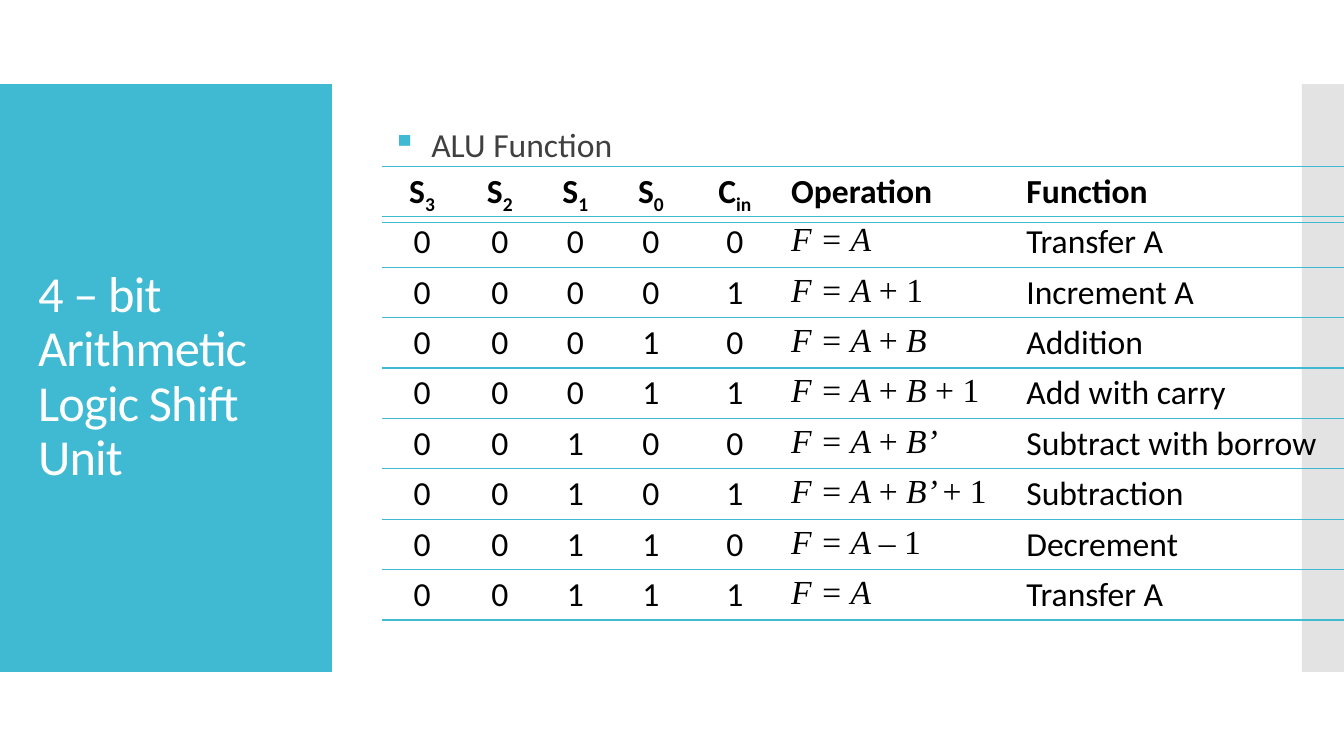
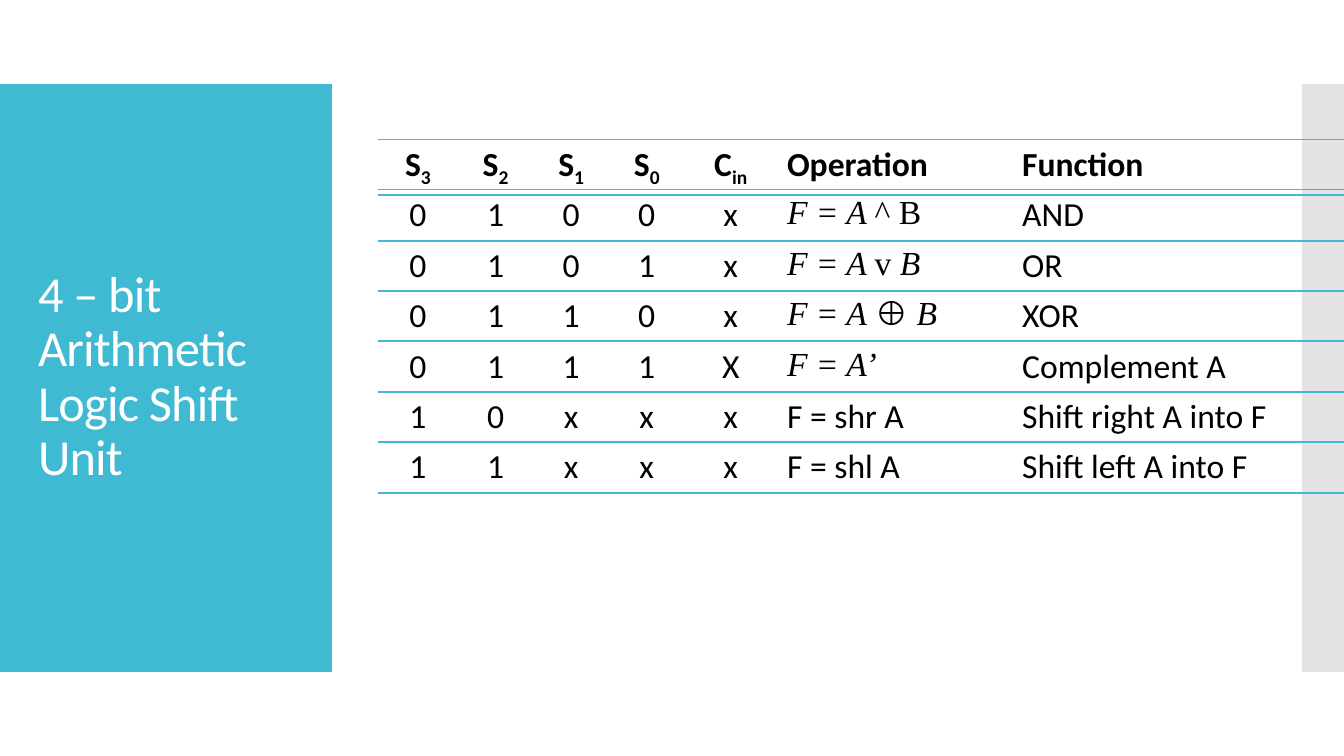
from typing import NamedTuple

from lxml import etree
from pptx import Presentation
from pptx.dml.color import RGBColor
from pptx.enum import shapes, text
from pptx.oxml import ns
from pptx.util import Pt

ACCENT = RGBColor(0x40, 0xBA, 0xD2)
SIDE_GREY = RGBColor(0xC8, 0xC8, 0xC8)
BODY_GREY = RGBColor(0x40, 0x40, 0x40)
BLACK = RGBColor(0, 0, 0)
WHITE = RGBColor(0xFF, 0xFF, 0xFF)

BODY_FONT = "Calibri"
MATH_FONT = "Times New Roman"
TEXT_SIZE = 24

SLIDE_SIZE = (960, 540)
TITLE = "4 – bit Arithmetic Logic Shift Unit"
TITLE_BOX = (20, 88.5, 197.5, 362.5)
HEADING_BOX = (273, 78, 690, 48)
HEADING_INDENT = 28
COLUMN_WIDTHS = (57, 54, 54, 54, 66, 168, 237)
SELECT_COLUMNS = 5
ROW_PITCH = 36
HEADERS = ("S_3", "S_2", "S_1", "S_0", "C_in", "Operation", "Function")


class Band(NamedTuple):
    left: float
    width: float
    color: RGBColor
    opacity: int
    top: float = 60
    height: float = 420


class Piece(NamedTuple):
    text: str
    font: str = BODY_FONT
    bold: bool = False
    italic: bool = False
    baseline: int = 0


class Operation(NamedTuple):
    """One function of the unit; in a formula, | switches between italic and upright."""
    inputs: str
    formula: str
    function: str
    is_math: bool = True


class FunctionSlide(NamedTuple):
    left: float
    top: float
    operations: tuple[Operation, ...]
    heading: str = ""


BANDS = (Band(0, 237, ACCENT, 100), Band(930, 30, SIDE_GREY, 50))

SLIDES = (
    FunctionSlide(273, 118.8, (
        Operation("00000", "F = A", "Transfer A"),
        Operation("00001", "F = A |+ 1", "Increment A"),
        Operation("00010", "F = A |+| B", "Addition"),
        Operation("00011", "F = A |+| B |+ 1", "Add with carry"),
        Operation("00100", "F = A |+| B’", "Subtract with borrow"),
        Operation("00101", "F = A |+| B’ |+ 1", "Subtraction"),
        Operation("00110", "F = A |– 1", "Decrement"),
        Operation("00111", "F = A", "Transfer A"),
    ), "ALU Function"),
    FunctionSlide(270, 99.6, (
        Operation("0100x", "F = A |^ B", "AND"),
        Operation("0101x", "F = A |v| B", "OR"),
        Operation("0110x", "F = A |⊕| B", "XOR"),
        Operation("0111X", "F = A’", "Complement A"),
        Operation("10xxx", "F = shr A", "Shift right A into F", False),
        Operation("11xxx", "F = shl A", "Shift left A into F", False),
    )),
)


def add_element(parent, tag: str, **attributes: str):
    return etree.SubElement(parent, ns.qn(tag), attributes)


def format_font(font, size: float, color: RGBColor, name: str = BODY_FONT) -> None:
    font.name = name
    font.size = Pt(size)
    font.color.rgb = color


def add_bands(slide) -> None:
    """Draw the two side bands behind the title."""
    for band in BANDS:
        shape = slide.shapes.add_shape(
            shapes.MSO_SHAPE.RECTANGLE,
            Pt(band.left), Pt(band.top), Pt(band.width), Pt(band.height))
        shape.shadow.inherit = False
        shape.line.fill.background()
        shape.fill.solid()
        shape.fill.fore_color.rgb = band.color
        if band.opacity < 100:
            color = shape.element.spPr.find(".//" + ns.qn("a:srgbClr"))
            add_element(color, "a:alpha", val=str(band.opacity * 1000))
        slide.shapes.title.element.addprevious(shape.element)


def format_title(slide) -> None:
    title = slide.shapes.title
    title.left, title.top, title.width, title.height = map(Pt, TITLE_BOX)
    frame = title.text_frame
    frame.text = TITLE
    frame.word_wrap = True
    frame.auto_size = text.MSO_AUTO_SIZE.NONE
    frame.vertical_anchor = text.MSO_ANCHOR.MIDDLE
    paragraph = frame.paragraphs[0]
    paragraph.alignment = text.PP_ALIGN.LEFT
    paragraph.line_spacing = 0.9
    run = paragraph.runs[0]
    format_font(run.font, 36, WHITE)
    run._r.get_or_add_rPr().set("spc", "-60")


def add_heading(slide, heading: str) -> None:
    """Add the bulleted line above the table."""
    frame = slide.shapes.add_textbox(*map(Pt, HEADING_BOX)).text_frame
    frame.word_wrap = True
    paragraph = frame.paragraphs[0]
    paragraph.text = heading
    paragraph.alignment = text.PP_ALIGN.JUSTIFY
    paragraph.line_spacing = 1.25
    properties = paragraph._p.get_or_add_pPr()
    properties.set("marL", str(Pt(HEADING_INDENT)))
    properties.set("indent", str(-Pt(HEADING_INDENT)))
    add_element(add_element(properties, "a:buClr"), "a:srgbClr", val=str(ACCENT))
    add_element(properties, "a:buChar", char="▪")
    format_font(paragraph.runs[0].font, TEXT_SIZE, BODY_GREY)


def header_pieces(header: str) -> list[Piece]:
    """Split a header at _ into a name and its subscript."""
    name, _, subscript = header.partition("_")
    pieces = [Piece(name, bold=True)]
    if subscript:
        pieces.append(Piece(subscript, bold=True, baseline=-25))
    return pieces


def operation_pieces(operation: Operation) -> list[list[Piece]]:
    formula = [Piece(operation.formula)]
    if operation.is_math:
        formula = [Piece(part, MATH_FONT, italic=index % 2 == 0)
                   for index, part in enumerate(operation.formula.split("|"))]
    inputs = [[Piece(value)] for value in operation.inputs]
    return [*inputs, formula, [Piece(operation.function)]]


def format_borders(cell) -> None:
    """Rule the cell above and below only, without fill."""
    cell.fill.background()
    properties = cell._tc.get_or_add_tcPr()
    for position, side in enumerate(("L", "R", "T", "B")):
        line = etree.Element(ns.qn(f"a:ln{side}"), w=str(Pt(1)))
        if side in "TB":
            add_element(add_element(line, "a:solidFill"), "a:srgbClr", val=str(ACCENT))
        else:
            add_element(line, "a:noFill")
        properties.insert(position, line)


def add_row_table(slide, left: float, top: float, row: list[list[Piece]]) -> None:
    """Add one ruled row as a table of its own."""
    table = slide.shapes.add_table(
        1, len(row), Pt(left), Pt(top), Pt(sum(COLUMN_WIDTHS)), Pt(ROW_PITCH)).table
    table.first_row = False
    table.horz_banding = False
    for index, (width, pieces) in enumerate(zip(COLUMN_WIDTHS, row)):
        table.columns[index].width = Pt(width)
        cell = table.cell(0, index)
        format_borders(cell)
        paragraph = cell.text_frame.paragraphs[0]
        if index < SELECT_COLUMNS:
            paragraph.alignment = text.PP_ALIGN.CENTER
        for piece in pieces:
            run = paragraph.add_run()
            run.text = piece.text
            format_font(run.font, TEXT_SIZE, BLACK, piece.font)
            run.font.bold = piece.bold
            run.font.italic = piece.italic
            if piece.baseline:
                run._r.get_or_add_rPr().set("baseline", str(piece.baseline * 1000))


def add_function_slide(presentation, content: FunctionSlide) -> None:
    slide = presentation.slides.add_slide(presentation.slide_layouts[5])
    add_bands(slide)
    format_title(slide)
    if content.heading:
        add_heading(slide, content.heading)
    rows = [[header_pieces(header) for header in HEADERS],
            *map(operation_pieces, content.operations)]
    for index, row in enumerate(rows):
        add_row_table(slide, content.left, content.top + index * ROW_PITCH, row)


def main() -> None:
    presentation = Presentation()
    presentation.slide_width, presentation.slide_height = map(Pt, SLIDE_SIZE)
    for content in SLIDES:
        add_function_slide(presentation, content)
    presentation.save("out.pptx")


if __name__ == "__main__":
    main()
